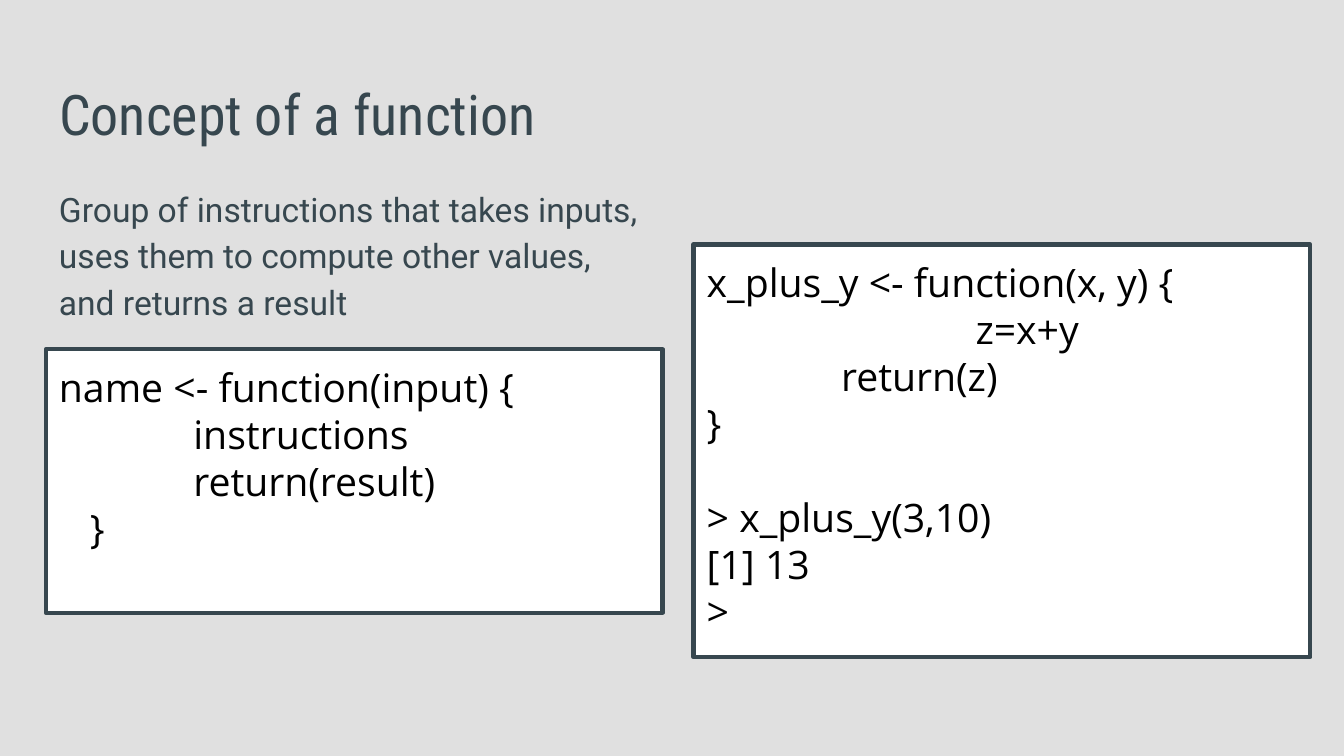
from pptx import Presentation
from pptx.dml.color import RGBColor
from pptx.enum.shapes import MSO_SHAPE
from pptx.enum.text import MSO_ANCHOR, MSO_AUTO_SIZE, PP_ALIGN
from pptx.util import Inches, Pt

COLORS = {"background": "E0E0E0", "slate": "37474F", "paper": "FFFFFF", "code": "000000"}
LEFT, COLUMN_WIDTH = 0.34, 4.59
CODE_LINE = 25.3  # height of one line of code, in points

# Each line of code: text, indent in inches, blank lines before it
TEMPLATE_CODE = [
    ("name <- function(input) {", 0, 0),
    ("instructions", 1, 0),
    ("return(result)", 1, 0),
    ("}", 0.23, 0),
]
EXAMPLE_CODE = [
    ("x_plus_y <- function(x, y) {", 0, 0),
    ("z=x+y", 2, 0),
    ("return(z)", 1, 0),
    ("}", 0, 0),
    ("> x_plus_y(3,10)", 0, 1),
    ("[1] 13", 0, 0),
    (">", 0, 0),
]


def color(name):
    return RGBColor.from_string(COLORS[name])


def prepare_frame(shape):
    """Give the shape's text equal insets and top anchoring, and return its frame."""
    frame = shape.text_frame
    frame.word_wrap = True
    frame.auto_size = MSO_AUTO_SIZE.NONE
    frame.vertical_anchor = MSO_ANCHOR.TOP
    frame.margin_left = frame.margin_right = Inches(0.1)
    frame.margin_top = frame.margin_bottom = Inches(0.1)
    return frame


def style_paragraph(para, font_name, size, color_name):
    para.alignment = PP_ALIGN.LEFT
    para.font.name = font_name
    para.font.size = Pt(size)
    para.font.color.rgb = color(color_name)


def place_title(page, text, left, top, width, height):
    title = page.shapes.title
    title.left, title.top = Inches(left), Inches(top)
    title.width, title.height = Inches(width), Inches(height)
    frame = prepare_frame(title)
    frame.text = text
    para = frame.paragraphs[0]
    para.line_spacing = 1.0
    para.space_before = Pt(0)
    style_paragraph(para, "Roboto Condensed", 30, "slate")


def add_definition(page, text, left, top, width, height):
    box = page.shapes.add_textbox(Inches(left), Inches(top), Inches(width), Inches(height))
    frame = prepare_frame(box)
    frame.text = text
    para = frame.paragraphs[0]
    para.line_spacing = 1.15
    para.space_after = Pt(16)
    style_paragraph(para, "Roboto", 18, "slate")


def add_code_panel(page, lines, left, top, width, height):
    panel = page.shapes.add_shape(
        MSO_SHAPE.RECTANGLE, Inches(left), Inches(top), Inches(width), Inches(height))
    panel.shadow.inherit = False
    panel.fill.solid()
    panel.fill.fore_color.rgb = color("paper")
    panel.line.color.rgb = color("slate")
    panel.line.width = Pt(2.25)
    frame = prepare_frame(panel)
    for index, (text, indent, blank_lines) in enumerate(lines):
        para = frame.add_paragraph() if index else frame.paragraphs[0]
        para.text = text
        style_paragraph(para, "Open Sans", 21, "code")
        if blank_lines:
            para.space_before = Pt(CODE_LINE * blank_lines)
        if indent:
            properties = para._p.get_or_add_pPr()
            properties.set("marL", str(Inches(indent)))
            properties.set("indent", "0")


def main():
    deck = Presentation()
    deck.slide_width = Inches(10)
    deck.slide_height = deck.slide_width * 9 // 16
    page = deck.slides.add_slide(deck.slide_layouts[5])
    page.background.fill.solid()
    page.background.fill.fore_color.rgb = color("background")

    place_title(page, "Concept of a function", LEFT, 0.49, 9.32, 0.63)
    add_code_panel(page, TEMPLATE_CODE, LEFT, 2.6, COLUMN_WIDTH, 1.96)
    add_definition(
        page,
        "Group of instructions that takes inputs, uses them to compute other values, "
        "and returns a result",
        LEFT, 1.26, COLUMN_WIDTH, 1.19)
    add_code_panel(page, EXAMPLE_CODE, 5.16, 1.82, COLUMN_WIDTH, 3.07)
    deck.save("out.pptx")


if __name__ == "__main__":
    main()
